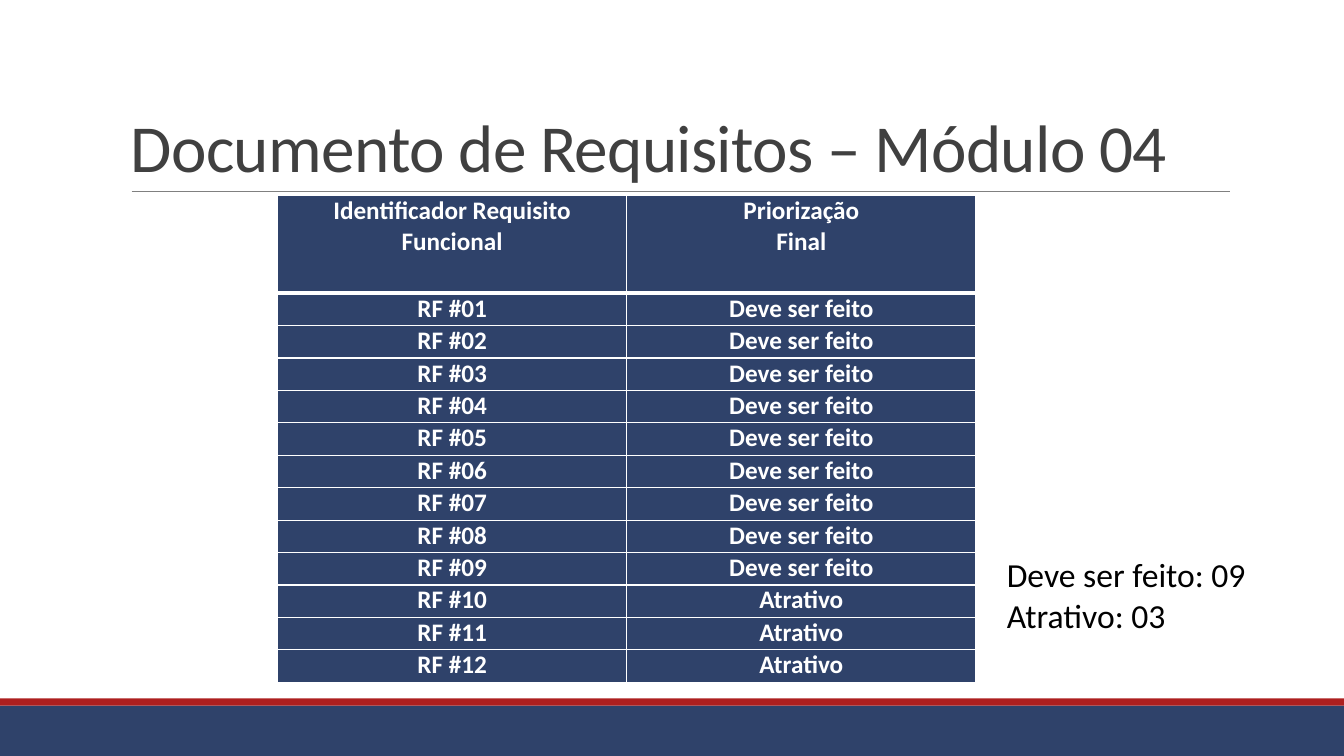
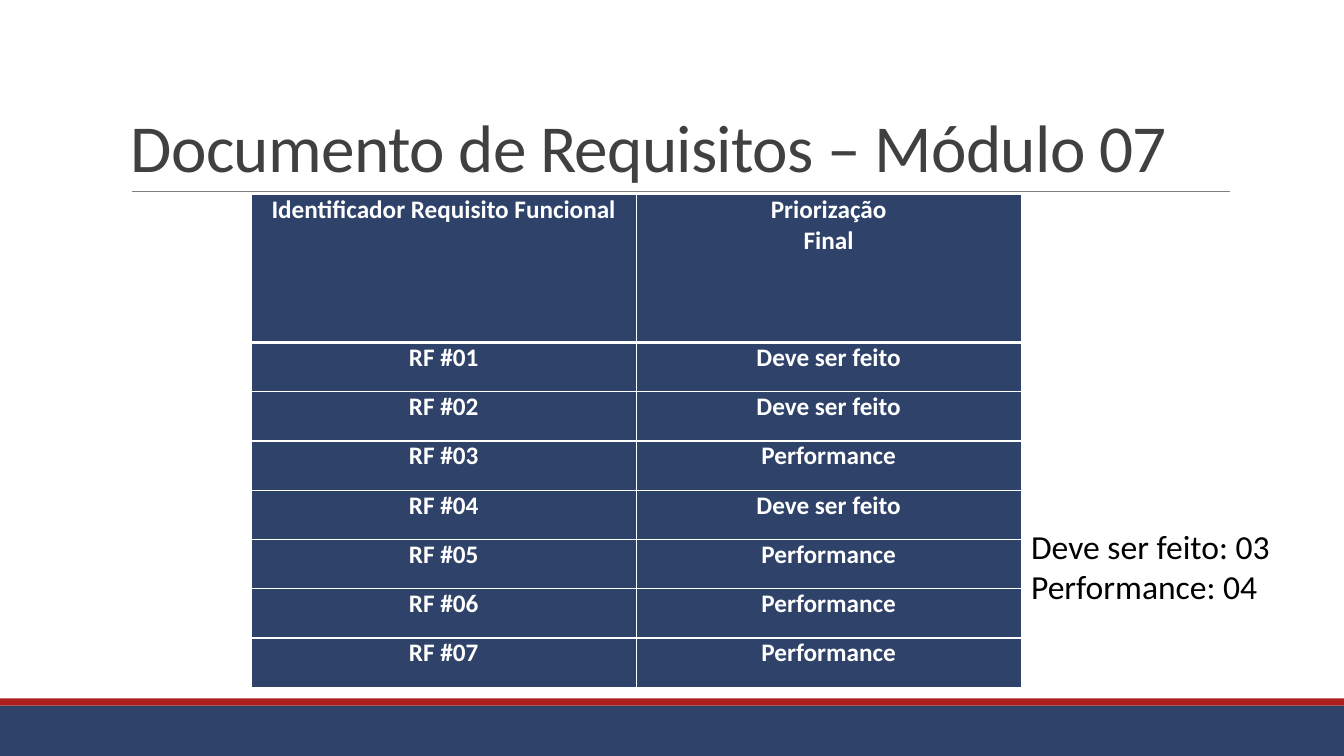
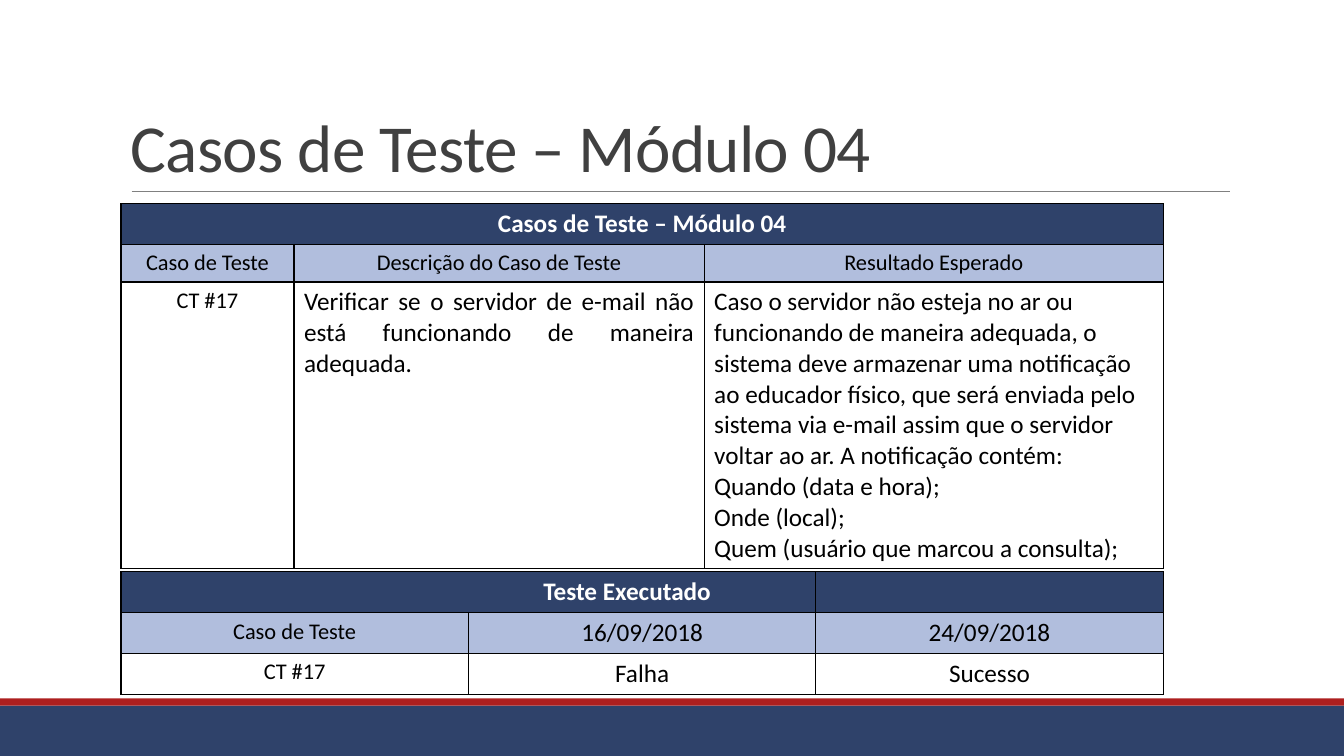
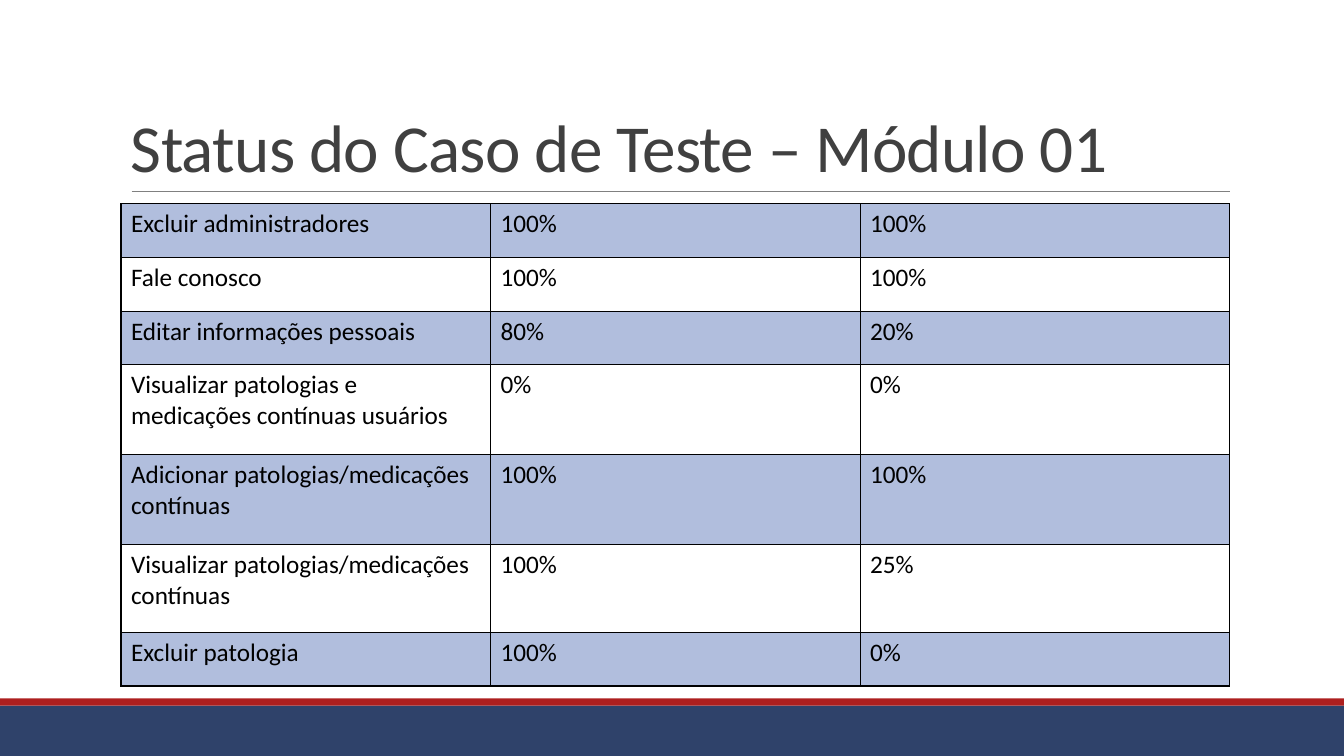
from collections import Counter, namedtuple
from dataclasses import dataclass

from lxml.etree import SubElement
from pptx import Presentation
from pptx.dml.color import RGBColor
from pptx.enum.shapes import MSO_CONNECTOR, MSO_SHAPE
from pptx.enum.text import MSO_ANCHOR, MSO_AUTO_SIZE, PP_ALIGN
from pptx.oxml.ns import qn
from pptx.util import Pt

NAVY = RGBColor(0x2F, 0x42, 0x6A)
RED = RGBColor(0xAD, 0x1F, 0x1F)
PERIWINKLE = RGBColor(0xB1, 0xBE, 0xDD)
GRAY = RGBColor(0x80, 0x80, 0x80)
CHARCOAL = RGBColor(0x40, 0x40, 0x40)
WHITE = RGBColor(0xFF, 0xFF, 0xFF)
BLACK = RGBColor(0, 0, 0)
FONT = "Calibri"
SLIDE_WIDTH, SLIDE_HEIGHT = 960, 540
CONTENT_LEFT = 86.4


@dataclass
class CellStyle:
    fill: RGBColor
    color: RGBColor = BLACK
    size: float = 18
    bold: bool = False
    align: PP_ALIGN = PP_ALIGN.CENTER
    left_inset: float = 7.2
    inset: float = 7.2
    vertical_inset: float = 3.6


HEADING = CellStyle(NAVY, WHITE, bold=True)
OFFSET_HEADING = CellStyle(NAVY, WHITE, bold=True, left_inset=234)
PRIORITY = CellStyle(NAVY, WHITE, bold=True, left_inset=5, inset=5, vertical_inset=0)
LABEL = CellStyle(PERIWINKLE, size=16)
DATE = CellStyle(PERIWINKLE)
CASE_ID = CellStyle(WHITE, size=16)
RESULT = CellStyle(WHITE)
DESCRIPTION = CellStyle(WHITE, align=PP_ALIGN.JUSTIFY)
EXPECTED = CellStyle(WHITE, align=PP_ALIGN.LEFT)
STATUS = (CellStyle(PERIWINKLE, align=PP_ALIGN.LEFT), EXPECTED)

MUST, ATTRACTIVE, PERFORMANCE = "Deve ser feito", "Atrativo", "Performance"
PRIORITY_HEADINGS = ("Identificador Requisito Funcional", "Priorização\nFinal")

Requirements = namedtuple(
    "Requirements", "title priorities left top width header_height row_height totals_left totals_top"
)
REQUIREMENTS = [
    Requirements(
        "Documento de Requisitos – Módulo 04",
        [MUST] * 9 + [ATTRACTIVE] * 3,
        198.2, 139.8, 499, 69.6, 23.16, 712.1, 392.4,
    ),
    Requirements(
        "Documento de Requisitos – Módulo 07",
        [MUST, MUST, PERFORMANCE, MUST, PERFORMANCE, PERFORMANCE, PERFORMANCE],
        179.4, 139, 550, 105.6, 35.2, 729.4, 372.2,
    ),
]

TEST_TITLE = "Casos de Teste – Módulo 04"
TEST_CASES = [
    [(TEST_TITLE, HEADING), ("", HEADING), ("", HEADING)],
    [
        ("Caso de Teste", LABEL),
        ("Descrição do Caso de Teste", LABEL),
        ("Resultado Esperado", LABEL),
    ],
    [
        ("CT #17", CASE_ID),
        ("Verificar se o servidor de e-mail não está funcionando de maneira adequada.", DESCRIPTION),
        (
            "Caso o servidor não esteja no ar ou funcionando de maneira adequada, o sistema "
            "deve armazenar uma notificação ao educador físico, que será enviada pelo sistema "
            "via e-mail assim que o servidor voltar ao ar. A notificação contém:\n"
            "Quando (data e hora);\nOnde (local);\nQuem (usuário que marcou a consulta);",
            EXPECTED,
        ),
    ],
]
TEST_RUNS = [
    [("Teste Executado", OFFSET_HEADING), ("", HEADING), ("", HEADING)],
    [("Caso de Teste", LABEL), ("16/09/2018", DATE), ("24/09/2018", DATE)],
    [("CT #17", CASE_ID), ("Falha", RESULT), ("Sucesso", RESULT)],
]

STATUS_TITLE = "Status do Caso de Teste – Módulo 01"
STATUS_ROWS = [
    (38.4, "Excluir administradores", "100%", "100%"),
    (38.4, "Fale conosco", "100%", "100%"),
    (38.4, "Editar informações pessoais", "80%", "20%"),
    (64.2, "Visualizar patologias e medicações contínuas usuários", "0%", "0%"),
    (64.2, "Adicionar patologias/medicações contínuas", "100%", "100%"),
    (62.6, "Visualizar patologias/medicações contínuas", "100%", "25%"),
    (38.4, "Excluir patologia", "100%", "0%"),
]


def format_runs(paragraph, size, color, bold=False):
    for run in paragraph.runs:
        run.font.name = FONT
        run.font.size = Pt(size)
        run.font.bold = bold
        run.font.color.rgb = color


def add_band(slide, top, height, color):
    band = slide.shapes.add_shape(
        MSO_SHAPE.RECTANGLE, Pt(0), Pt(top), Pt(SLIDE_WIDTH), Pt(height)
    )
    band.shadow.inherit = False
    band.fill.solid()
    band.fill.fore_color.rgb = color
    band.line.fill.background()


def add_titled_slide(deck, title):
    slide = deck.slides.add_slide(deck.slide_layouts[6])
    add_band(slide, 504, 36, NAVY)
    add_band(slide, 498.8, 5.2, RED)
    rule = slide.shapes.add_connector(
        MSO_CONNECTOR.STRAIGHT, Pt(94.1), Pt(136.8), Pt(878.9), Pt(136.8)
    )
    rule.line.color.rgb = GRAY
    rule.line.width = Pt(0.5)
    SubElement(rule._element.spPr, qn("a:effectLst"))

    frame = slide.shapes.add_textbox(Pt(CONTENT_LEFT), Pt(22.6), Pt(792), Pt(114.2)).text_frame
    frame.word_wrap = True
    frame.vertical_anchor = MSO_ANCHOR.BOTTOM
    frame.text = title
    heading = frame.paragraphs[0]
    heading.line_spacing = 0.85
    format_runs(heading, 48, CHARCOAL)
    heading.runs[0].font._element.set("spc", "-50")
    return slide


def set_borders(cell, color, bottom_width):
    properties = cell._tc.get_or_add_tcPr()
    for side, width in (("L", 1), ("R", 1), ("T", 1), ("B", bottom_width)):
        border = SubElement(properties, qn(f"a:ln{side}"), w=str(Pt(width)))
        fill = SubElement(border, qn("a:solidFill"))
        SubElement(fill, qn("a:srgbClr"), val=str(color))


def add_grid(slide, left, top, widths, heights, rows, border=BLACK, header_rule=1):
    table = slide.shapes.add_table(
        len(rows), len(widths), Pt(left), Pt(top), Pt(sum(widths)), Pt(sum(heights))
    ).table
    table.first_row = table.horz_banding = False
    for column, width in zip(table.columns, widths):
        column.width = Pt(width)
    for index, (row, height, contents) in enumerate(zip(table.rows, heights, rows)):
        row.height = Pt(height)
        for cell, (text, style) in zip(row.cells, contents):
            set_borders(cell, border, header_rule if index == 0 else 1)
            cell.fill.solid()
            cell.fill.fore_color.rgb = style.fill
            cell.margin_left, cell.margin_right = Pt(style.left_inset), Pt(style.inset)
            cell.margin_top = cell.margin_bottom = Pt(style.vertical_inset)
            cell.text_frame.text = text
            for paragraph in cell.text_frame.paragraphs:
                paragraph.alignment = style.align
                format_runs(paragraph, style.size, style.color, style.bold)
    return table


def add_requirements_slide(deck, module):
    slide = add_titled_slide(deck, module.title)
    lines = [PRIORITY_HEADINGS]
    lines += [(f"RF #{n:02d}", priority) for n, priority in enumerate(module.priorities, 1)]
    rows = [[(text, PRIORITY) for text in line] for line in lines]
    heights = [module.header_height] + [module.row_height] * len(module.priorities)
    add_grid(slide, module.left, module.top, [module.width / 2] * 2, heights, rows, WHITE, 3)

    totals = slide.shapes.add_textbox(
        Pt(module.totals_left), Pt(module.totals_top), Pt(186.5), Pt(65.5)
    ).text_frame
    totals.word_wrap = False
    totals.auto_size = MSO_AUTO_SIZE.SHAPE_TO_FIT_TEXT
    totals.text = "\n".join(
        f"{priority}: {count:02d}" for priority, count in Counter(module.priorities).items()
    )
    for paragraph in totals.paragraphs:
        format_runs(paragraph, 24, BLACK)


def add_test_slide(deck):
    slide = add_titled_slide(deck, TEST_TITLE)
    cases = add_grid(
        slide, CONTENT_LEFT, 145.5, [123.6, 293, 328], [29.2, 26.7, 205], TEST_CASES
    )
    cases.cell(0, 0).merge(cases.cell(0, 2))
    runs = add_grid(slide, CONTENT_LEFT, 408.4, [248.2] * 3, [29.2] * 3, TEST_RUNS)
    runs.cell(0, 0).merge(runs.cell(0, 1))


def add_status_slide(deck):
    slide = add_titled_slide(deck, STATUS_TITLE)
    heights = [height for height, *_ in STATUS_ROWS]
    rows = [
        [(text, STATUS[index % 2]) for text in texts]
        for index, (_, *texts) in enumerate(STATUS_ROWS)
    ]
    add_grid(slide, CONTENT_LEFT, 145.5, [264] * 3, heights, rows)


def main():
    deck = Presentation()
    deck.slide_width, deck.slide_height = Pt(SLIDE_WIDTH), Pt(SLIDE_HEIGHT)
    for module in REQUIREMENTS:
        add_requirements_slide(deck, module)
    add_test_slide(deck)
    add_status_slide(deck)
    deck.save("out.pptx")


if __name__ == "__main__":
    main()
